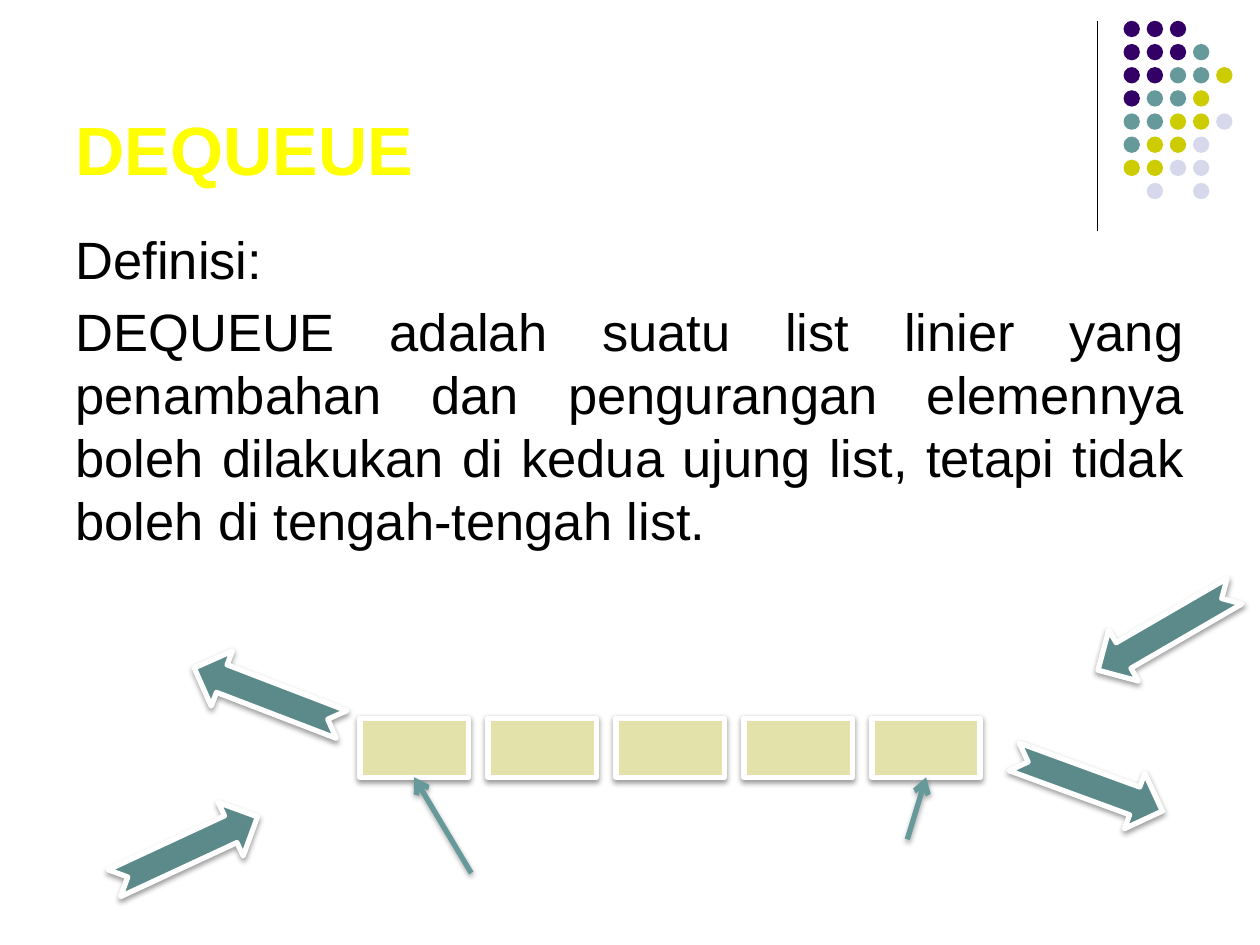
from dataclasses import dataclass
from typing import Any

import pptx
import pptx.dml.color
import pptx.enum.shapes
import pptx.enum.text
import pptx.oxml
import pptx.oxml.ns
import pptx.util
from pptx.util import Cm

RGBColor = pptx.dml.color.RGBColor
MSO_SHAPE = pptx.enum.shapes.MSO_SHAPE
MSO_ANCHOR = pptx.enum.text.MSO_ANCHOR
PP_ALIGN = pptx.enum.text.PP_ALIGN
Pt = pptx.util.Pt

BLACK = RGBColor(0x00, 0x00, 0x00)
WHITE = RGBColor(0xFF, 0xFF, 0xFF)
YELLOW = RGBColor(0xFF, 0xFF, 0x00)
PURPLE = RGBColor(0x33, 0x00, 0x66)
TEAL = RGBColor(0x66, 0x99, 0x99)
DARK_TEAL = RGBColor(0x5C, 0x8A, 0x8A)
OLIVE = RGBColor(0xCC, 0xCC, 0x00)
PALE_OLIVE = RGBColor(0xE2, 0xE2, 0xAA)
LAVENDER = RGBColor(0xD8, 0xD8, 0xEC)

DOT_COLORS = {"P": PURPLE, "T": TEAL, "O": OLIVE, "L": LAVENDER}
DOT_ROWS = ("PPP", "PPPT", "PPTTO", "PTTO", "TTOOL", "TOOL", "OOLL", ".L.L")
DOT_PITCH = 1.4 / 3
DEFINITION = (
    "Definisi:",
    "DEQUEUE adalah suatu list linier yang penambahan dan pengurangan "
    "elemennya boleh dilakukan di kedua ujung list, tetapi tidak boleh di "
    "tengah-tengah list.",
)
TITLE_FONT = {"name": "Arial", "size": Pt(39), "bold": True}
BODY_FONT = {"name": "Arial", "size": Pt(30)}
BODY_PARAGRAPH = {
    "alignment": PP_ALIGN.JUSTIFY,
    "space_before": Pt(5),
    "line_spacing": 1.0,
}


@dataclass(frozen=True)
class BlockArrow:
    left: float
    top: float
    rotation: float


@dataclass(frozen=True)
class Pointer:
    start_x: float
    start_y: float
    cell: int


ARROWS = (
    BlockArrow(2.16, 16.54, 335.1),
    BlockArrow(20.35, 15.21, 20.1),
    BlockArrow(21.92, 12.12, 149.9),
    BlockArrow(3.81, 13.44, 201),
)
POINTERS = (Pointer(18.29, 16.92, 4), Pointer(9.5, 17.6, 0))


def apply_format(target: Any, values: dict[str, Any]) -> None:
    for name, value in values.items():
        setattr(target, name, value)


def place(shape: Any, left: float, top: float, width: float, height: float) -> None:
    apply_format(shape, {"left": Cm(left), "top": Cm(top),
                         "width": Cm(width), "height": Cm(height)})


def write_text(paragraph: Any, text: str, font: dict[str, Any], color: RGBColor) -> None:
    run = paragraph.add_run()
    run.text = text
    apply_format(run.font, font)
    run.font.color.rgb = color


def add_shadow(shape: Any, opacity: int) -> None:
    shape._element.spPr.append(pptx.oxml.parse_xml(
        f'<a:effectLst {pptx.oxml.ns.nsdecls("a")}>'
        '<a:outerShdw blurRad="40000" dist="20000" dir="5400000" rotWithShape="0">'
        f'<a:srgbClr val="000000"><a:alpha val="{opacity * 1000}"/></a:srgbClr>'
        "</a:outerShdw></a:effectLst>"))


def add_outlined(slide: Any, kind: Any, left: float, top: float,
                 width: float, color: RGBColor) -> Any:
    shape = slide.shapes.add_shape(kind, Cm(left), Cm(top), Cm(width), Cm(1.19))
    shape.fill.solid()
    shape.fill.fore_color.rgb = color
    shape.line.color.rgb = WHITE
    shape.line.width = Pt(3)
    add_shadow(shape, 38)
    return shape


def add_line(slide: Any, start: tuple[float, float], end: tuple[float, float],
             color: RGBColor, width: float) -> Any:
    line = slide.shapes.add_connector(
        pptx.enum.shapes.MSO_CONNECTOR.STRAIGHT, *map(Cm, start + end))
    line.line.color.rgb = color
    line.line.width = Pt(width)
    return line


def add_decoration(slide: Any) -> None:
    rule = add_line(slide, (22.12, 0.43), (22.12, 4.65), BLACK, 0.75)
    rule._element.spPr.append(
        pptx.oxml.parse_xml(f'<a:effectLst {pptx.oxml.ns.nsdecls("a")}/>'))
    for row, codes in enumerate(DOT_ROWS):
        for column, code in enumerate(codes):
            if code not in DOT_COLORS:
                continue
            dot = slide.shapes.add_shape(
                MSO_SHAPE.OVAL, Cm(22.65 + DOT_PITCH * column),
                Cm(0.42 + DOT_PITCH * row), Cm(0.33), Cm(0.33))
            dot.shadow.inherit = False
            dot.fill.solid()
            dot.fill.fore_color.rgb = DOT_COLORS[code]
            dot.line.fill.background()


def fill_placeholders(slide: Any) -> None:
    title, body = slide.shapes.title, slide.placeholders[1]
    place(title, 1.27, 0.33, 20.96, 3.61)
    place(body, 1.27, 4.45, 22.86, 13.87)
    for shape, anchor in ((title, MSO_ANCHOR.BOTTOM), (body, MSO_ANCHOR.TOP)):
        apply_format(shape.text_frame, {
            "word_wrap": True, "vertical_anchor": anchor,
            "auto_size": pptx.enum.text.MSO_AUTO_SIZE.NONE})
    heading = title.text_frame.paragraphs[0]
    heading.alignment = PP_ALIGN.LEFT
    write_text(heading, "DEQUEUE", TITLE_FONT, YELLOW)
    for index, text in enumerate(DEFINITION):
        frame = body.text_frame
        paragraph = frame.add_paragraph() if index else frame.paragraphs[0]
        apply_format(paragraph, BODY_PARAGRAPH)
        properties = paragraph._p.get_or_add_pPr()
        properties.set("marL", "0")
        properties.set("indent", "0")
        properties.append(
            pptx.oxml.parse_xml(f'<a:buNone {pptx.oxml.ns.nsdecls("a")}/>'))
        write_text(paragraph, text, BODY_FONT, BLACK)


def add_pointer(slide: Any, pointer: Pointer, cells: list[Any]) -> None:
    start = (pointer.start_x, pointer.start_y)
    line = add_line(slide, start, start, TEAL, 3)
    line.end_connect(cells[pointer.cell], 2)
    line.line._get_or_add_ln().append(pptx.oxml.parse_xml(
        f'<a:tailEnd {pptx.oxml.ns.nsdecls("a")} type="arrow"/>'))
    add_shadow(line, 35)


def main() -> None:
    presentation = pptx.Presentation()
    presentation.slide_width = Cm(25.4)
    presentation.slide_height = Cm(19.05)
    slide = presentation.slides.add_slide(presentation.slide_layouts[1])
    add_decoration(slide)
    fill_placeholders(slide)
    cells = [add_outlined(slide, MSO_SHAPE.RECTANGLE, 7.26 + 2.58 * index,
                          14.48, 2.18, PALE_OLIVE) for index in range(5)]
    for pointer in POINTERS:
        add_pointer(slide, pointer, cells)
    for arrow in ARROWS:
        shape = add_outlined(slide, MSO_SHAPE.NOTCHED_RIGHT_ARROW,
                             arrow.left, arrow.top, 3.18, DARK_TEAL)
        shape.rotation = arrow.rotation
    presentation.save("out.pptx")


if __name__ == "__main__":
    main()
